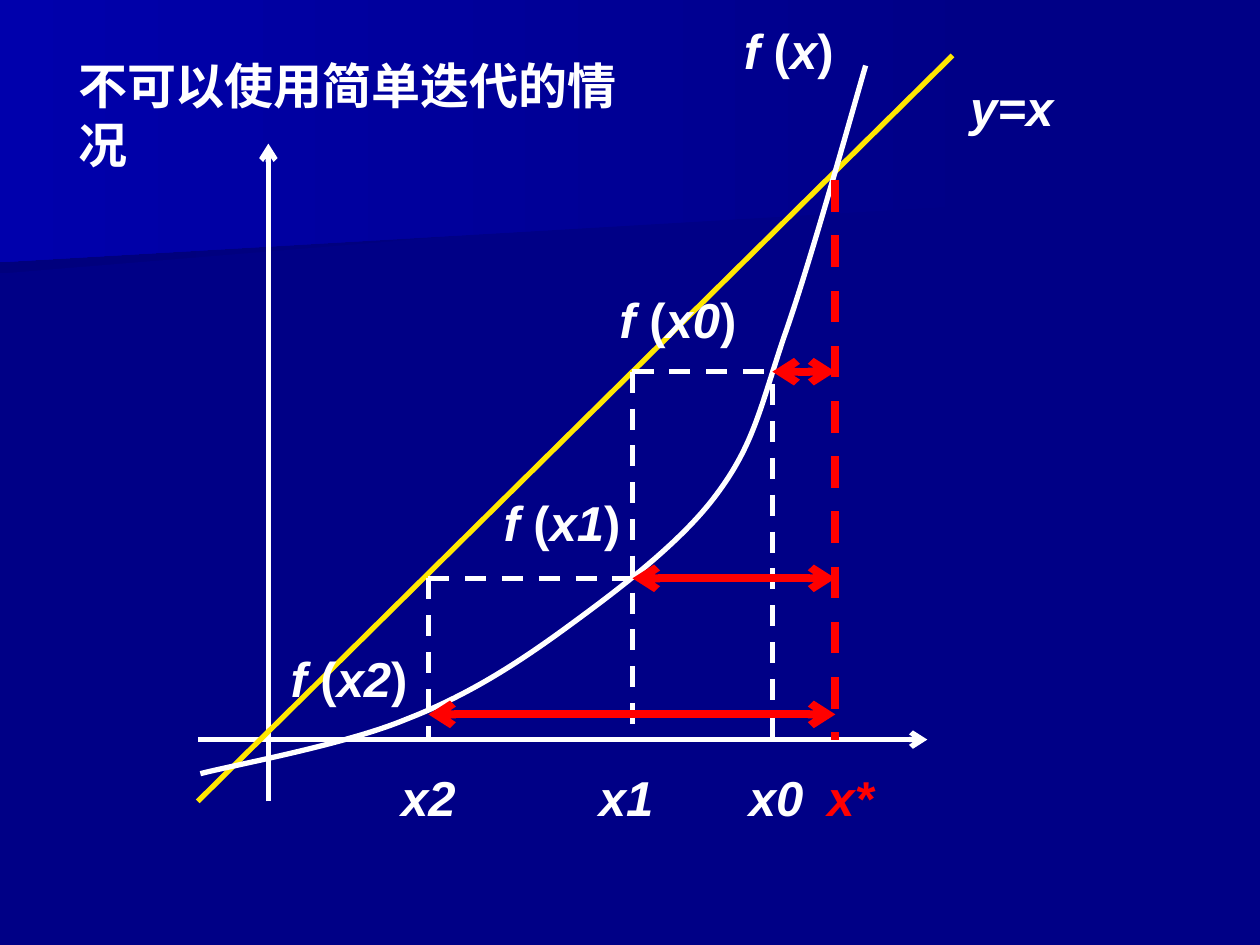
from dataclasses import dataclass

from lxml.etree import SubElement as Sub
from pptx import Presentation
from pptx.dml.color import RGBColor as Rgb
from pptx.enum.dml import MSO_LINE as Dash
from pptx.enum.shapes import MSO_CONNECTOR as Link
from pptx.enum.text import MSO_ANCHOR as Anchor, MSO_AUTO_SIZE as Auto, PP_ALIGN as Align
from pptx.oxml.ns import qn
from pptx.util import Inches, Pt


@dataclass(frozen=True)
class Theme:
    back: str = "000086"
    deep: str = "00007D"
    glow: str = "0000AC"
    white: str = "FFFFFF"
    yellow: str = "FFE701"
    red: str = "FF0000"
    font: str = "Arial"
    size: int = 28
    thin: float = 3
    thick: float = 4.5


THEME = Theme()

# Places shared by axes, guides and labels
BASE = 5.87
X2, X1, X0, ROOT = 3.4, 5.02, 6.13, 6.63
Y0, Y1, Y2 = 2.95, 4.59, 5.67


def color(hue):
    return Rgb.from_string(hue)


def add_free(slide, points, close):
    spots = [(Inches(x), Inches(y)) for x, y in points]
    pen = slide.shapes.build_freeform(*spots[0])
    pen.add_line_segments(spots[1:], close=close)
    shape = pen.convert_to_shape()
    shape.shadow.inherit = False
    return shape


def add_band(slide, points, left):
    """Backdrop area that fades from right to left."""
    band = add_free(slide, points, True)
    band.line.fill.background()
    band.fill.gradient()
    band.fill.gradient_angle = 180
    for stop, hue in zip(band.fill.gradient_stops, (THEME.back, left)):
        stop.color.rgb = color(hue)


def add_curve(slide, points):
    """Smooth curve: a start, then two handles and an end per part."""
    curve = add_free(slide, points, False)
    curve.fill.background()
    curve.line.color.rgb = color(THEME.white)
    curve.line.width = Pt(THEME.thin)
    steps = list(curve._element.iter(qn("a:lnTo")))
    for i in range(0, len(steps), 3):
        bend = Sub(steps[i].getparent(), qn("a:cubicBezTo"))
        for step in steps[i:i + 3]:
            bend.append(step[0])
            step.getparent().remove(step)


def add_line(slide, start, end, hue=THEME.white, width=THEME.thin, dash=False, ends=()):
    ports = [Inches(n) for n in (*start, *end)]
    line = slide.shapes.add_connector(Link.STRAIGHT, *ports)
    line.line.color.rgb = color(hue)
    line.line.width = Pt(width)
    if dash:
        line.line.dash_style = Dash.DASH
    for end_tag in ends:
        Sub(line.line._get_or_add_ln(), qn(f"a:{end_tag}"), type="arrow")
    Sub(line._element.spPr, qn("a:effectLst"))


def style(run, hue, slant):
    font = run.font
    font.name, font.size = THEME.font, Pt(THEME.size)
    font.bold, font.italic = True, slant
    font.color.rgb = color(hue)


def add_label(slide, left, top, width, parts, hue=THEME.white):
    """Centred label whose parts are italic and upright in turn."""
    box = slide.shapes.add_textbox(*map(Inches, (left, top, width, 0.57)))
    frame = box.text_frame
    frame.word_wrap = True
    frame.auto_size = Auto.SHAPE_TO_FIT_TEXT
    line = frame.paragraphs[0]
    line.alignment = Align.CENTER
    for i, part in enumerate(parts):
        run = line.add_run()
        run.text = part
        style(run, hue, i % 2 == 0)


def set_title(slide, text):
    title = slide.shapes.title
    title.left, title.top, title.width, title.height = map(Inches, (0.52, 0.39, 4.86, 0.57))
    frame = title.text_frame
    frame.text = text
    frame.word_wrap = False
    frame.auto_size = Auto.SHAPE_TO_FIT_TEXT
    frame.vertical_anchor = Anchor.TOP
    frame.paragraphs[0].alignment = Align.LEFT
    style(frame.paragraphs[0].runs[0], THEME.white, False)
    # Bring the title in front of the backdrop
    slide.shapes._spTree.append(title._element)


def main():
    deck = Presentation()
    deck.slide_width, deck.slide_height = Inches(10), Inches(7.5)
    slide = deck.slides.add_slide(deck.slide_layouts[5])

    # Backdrop and title
    slide.background.fill.solid()
    slide.background.fill.fore_color.rgb = color(THEME.back)
    add_band(slide, [(7.78, 1.53), (0, 2.17), (0, 1.01), (7.79, 1.01)], THEME.deep)
    add_band(slide, [(7.92, 1.62), (0, 2.08), (0, 0), (7.92, 0)], THEME.glow)
    set_title(slide, "不可以使用简单迭代的情况")

    # Axes, diagonal and function
    add_line(slide, (2.13, 6.36), (2.13, 1.14), ends=["tailEnd"])
    add_line(slide, (1.57, BASE), (7.36, BASE), ends=["tailEnd"])
    add_line(slide, (1.57, 6.36), (7.56, 0.44), THEME.yellow)
    add_curve(slide, [
        (1.59, 6.14),
        (1.86, 6.07), (2.74, 5.91), (3.22, 5.71),
        (3.71, 5.52), (4.1, 5.27), (4.51, 4.97),
        (4.92, 4.67), (5.41, 4.3), (5.69, 3.92),
        (5.98, 3.53), (6.03, 3.25), (6.22, 2.68),
        (6.42, 2.12), (6.74, 0.97), (6.87, 0.52),
    ])

    # Dashed guides
    add_line(slide, (ROOT, 1.43), (ROOT, BASE), THEME.red, THEME.thick, dash=True)
    for start, end in [
        ((X2, Y1), (X2, BASE)), ((X2, Y1), (X1, Y1)),
        ((X1, Y0), (X1, BASE)), ((X1, Y0), (X0, Y0)),
        ((X0, 3.05), (X0, BASE)),
    ]:
        add_line(slide, start, end, dash=True)

    # Distances to the root
    for x, y in [(X0, Y0), (X1, Y1), (X2, Y2)]:
        add_line(slide, (x, y), (ROOT, y), THEME.red, THEME.thick, ends=["headEnd", "tailEnd"])

    # Labels
    add_label(slide, 5.79, 0.11, 0.94, ["f", " (", "x", ")"])
    add_label(slide, 7.56, 0.57, 0.94, ["y=x"])
    for name, left, top in [("x0", 4.74, 2.25), ("x1", 3.82, 3.86), ("x2", 2.13, 5.1)]:
        add_label(slide, left, top, 1.28, ["f", " (", name, ")"])
    for name, left in [("x2", 3.08), ("x1", 4.65), ("x0", 5.84)]:
        add_label(slide, left, 6.04, 0.64, [name])
    add_label(slide, 6.43, 6.04, 0.64, ["x*"], THEME.red)

    deck.save("out.pptx")


if __name__ == "__main__":
    main()
